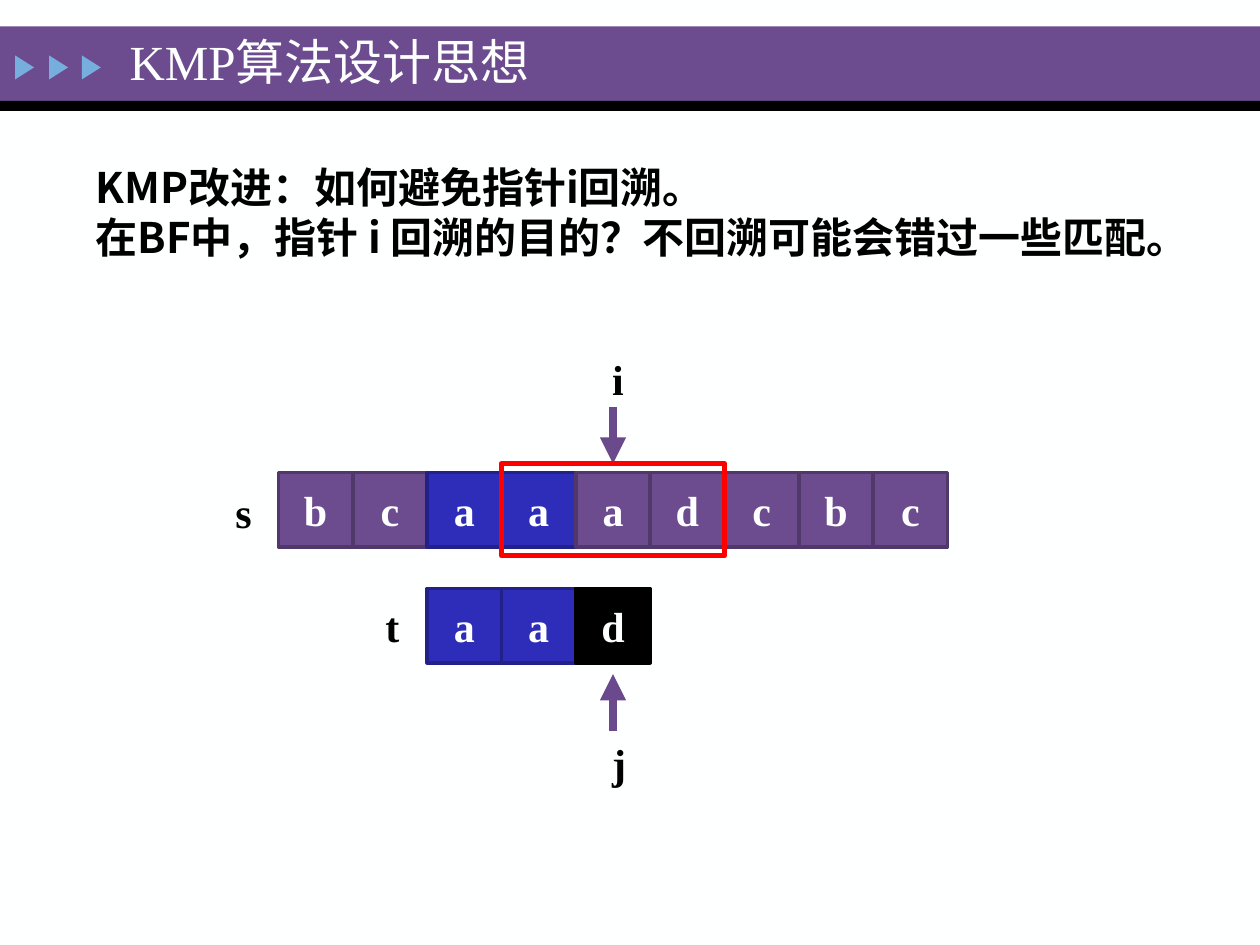
from dataclasses import dataclass
from lxml.etree import SubElement as Sub
from pptx import Presentation
from pptx.dml.color import RGBColor as Rgb
from pptx.enum.shapes import MSO_CONNECTOR as Conn, MSO_SHAPE as Kind
from pptx.enum.text import MSO_ANCHOR as Anchor, PP_ALIGN as Align
from pptx.oxml.ns import qn
from pptx.util import Inches, Pt


@dataclass(frozen=True)
class Theme:
    """Colours, fonts and sizes of the slide."""
    back: str = "FEFFFF"
    black: str = "000000"
    plum: str = "6C4C8F"
    plum_edge: str = "50386A"
    blue: str = "2D2DB9"
    blue_edge: str = "212189"
    sky: str = "76AEDD"
    arrow: str = "6A498D"
    red: str = "FF0000"
    serif: str = "Times New Roman"
    sans: str = "Noto Sans CJK SC"
    title: int = 28
    body: int = 24


T = Theme()
CELL = 0.59
LEFT = 2.21
STYLES = {"p": (T.plum, T.plum_edge), "b": (T.blue, T.blue_edge),
          "k": (T.black, T.black)}


def add_run(para, text, color, size=T.body, face=T.serif, bold=True):
    """Add one styled run to a paragraph."""
    run = para.add_run()
    run.text = text
    font = run.font
    font.size, font.bold, font.name = Pt(size), bold, face
    font.color.rgb = Rgb.from_string(color)
    Sub(font._element, qn("a:ea"), typeface=T.sans)


def add_box(slide, box, fill=None, edge=None, width=2, kind=Kind.RECTANGLE):
    """Add a preset shape with optional fill and outline."""
    shape = slide.shapes.add_shape(kind, *map(Inches, box))
    shape.shadow.inherit = False
    if fill:
        shape.fill.solid()
        shape.fill.fore_color.rgb = Rgb.from_string(fill)
    else:
        shape.fill.background()
    if edge:
        shape.line.color.rgb = Rgb.from_string(edge)
        shape.line.width = Pt(width)
    else:
        shape.line.fill.background()
    return shape


def add_text(slide, box, lines, color=T.black, indent=0, anchor=Anchor.TOP, **style):
    """Add a text box with one paragraph per line."""
    frame = slide.shapes.add_textbox(*map(Inches, box)).text_frame
    frame.word_wrap = True
    frame.vertical_anchor = anchor
    for num, line in enumerate(lines):
        para = frame.add_paragraph() if num else frame.paragraphs[0]
        if indent:
            props = para._p.get_or_add_pPr()
            props.set("marL", "0")
            props.set("indent", str(Inches(indent)))
        add_run(para, line, color, **style)


def add_cells(slide, start, top, chars, codes):
    """Add a row of lettered cells from a column of the grid."""
    for col, (char, code) in enumerate(zip(chars, codes), start):
        cell = add_box(slide, (LEFT + col * CELL, top, CELL, CELL), *STYLES[code])
        frame = cell.text_frame
        frame.vertical_anchor = Anchor.MIDDLE
        para = frame.paragraphs[0]
        para.alignment = Align.CENTER
        add_run(para, char, T.back)


def add_arrow(slide, mid, start, end):
    """Add a vertical arrow and return it."""
    ends = map(Inches, (mid, start, mid, end))
    arrow = slide.shapes.add_connector(Conn.STRAIGHT, *ends)
    arrow.line.color.rgb = Rgb.from_string(T.arrow)
    arrow.line.width = Pt(5)
    Sub(arrow.line._get_or_add_ln(), qn("a:tailEnd"), type="triangle")
    Sub(arrow._element.spPr, qn("a:effectLst"))
    return arrow


def add_head(slide):
    """Add the title band with its three markers."""
    add_box(slide, (0, 0.21, 10, 0.59), T.plum)
    add_box(slide, (0, 0.8, 10, 0.08), T.black)
    for left in (0.1, 0.37, 0.63):
        mark = add_box(slide, (left, 0.46, 0.19, 0.15), T.sky,
                       kind=Kind.ISOSCELES_TRIANGLE)
        mark.rotation = 90
    add_text(slide, (0.93, 0.2, 7.01, 0.56), ["KMP算法设计思想"], T.back,
             anchor=Anchor.MIDDLE, size=T.title, bold=False)


def main():
    """Build the slide and save it."""
    deck = Presentation()
    deck.slide_width, deck.slide_height = Inches(10), Inches(7.5)
    slide = deck.slides.add_slide(deck.slide_layouts[6])
    slide.background.fill.solid()
    slide.background.fill.fore_color.rgb = Rgb.from_string(T.back)

    add_head(slide)
    add_text(slide, (0.28, 1.23, 9.29, 0.91),
             ["KMP改进：如何避免指针i回溯。",
              "在BF中，指针 i 回溯的目的？不回溯可能会错过一些匹配。"],
             indent=0.38, face=T.sans)

    add_cells(slide, 0, 3.75, "bcaaadcbc", "ppbbppppp")
    add_cells(slide, 2, 4.67, "aad", "bbk")

    mid = LEFT + 4.5 * CELL
    down = add_arrow(slide, mid, 3.23, 3.68)
    add_arrow(slide, mid, 5.8, 5.35)
    for char, left, top, wide in (("i", 4.76, 2.76, 0.3), ("j", 4.76, 5.8, 0.3),
                                  ("s", 1.77, 3.81, 0.32), ("t", 2.96, 4.72, 0.31)):
        add_text(slide, (left, top, wide, 0.51), [char])

    frame = add_box(slide, (LEFT + 3 * CELL, 3.68, 3 * CELL, 0.73), edge=T.red, width=3)
    down.end_connect(frame, 0)
    deck.save("out.pptx")


if __name__ == "__main__":
    main()
